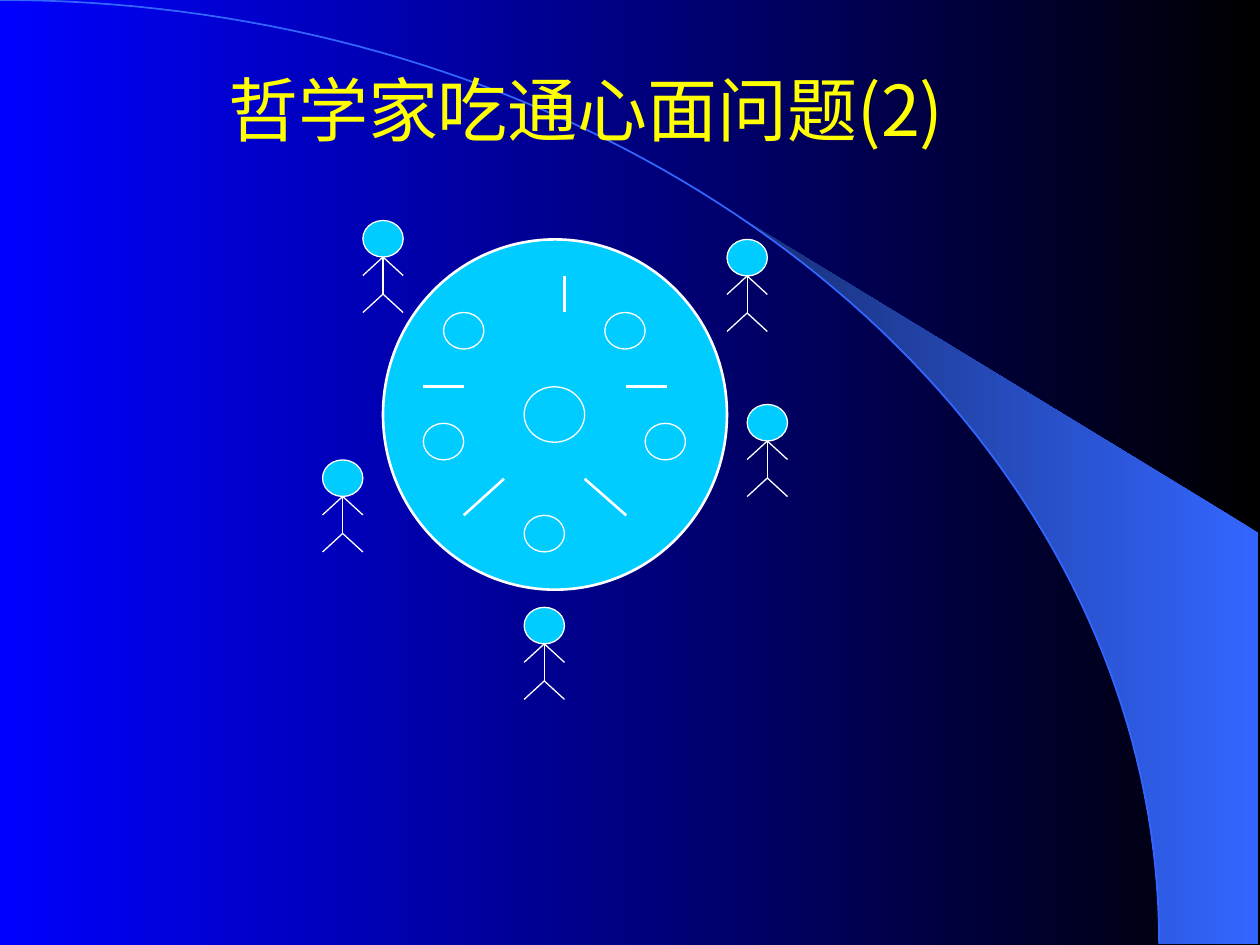
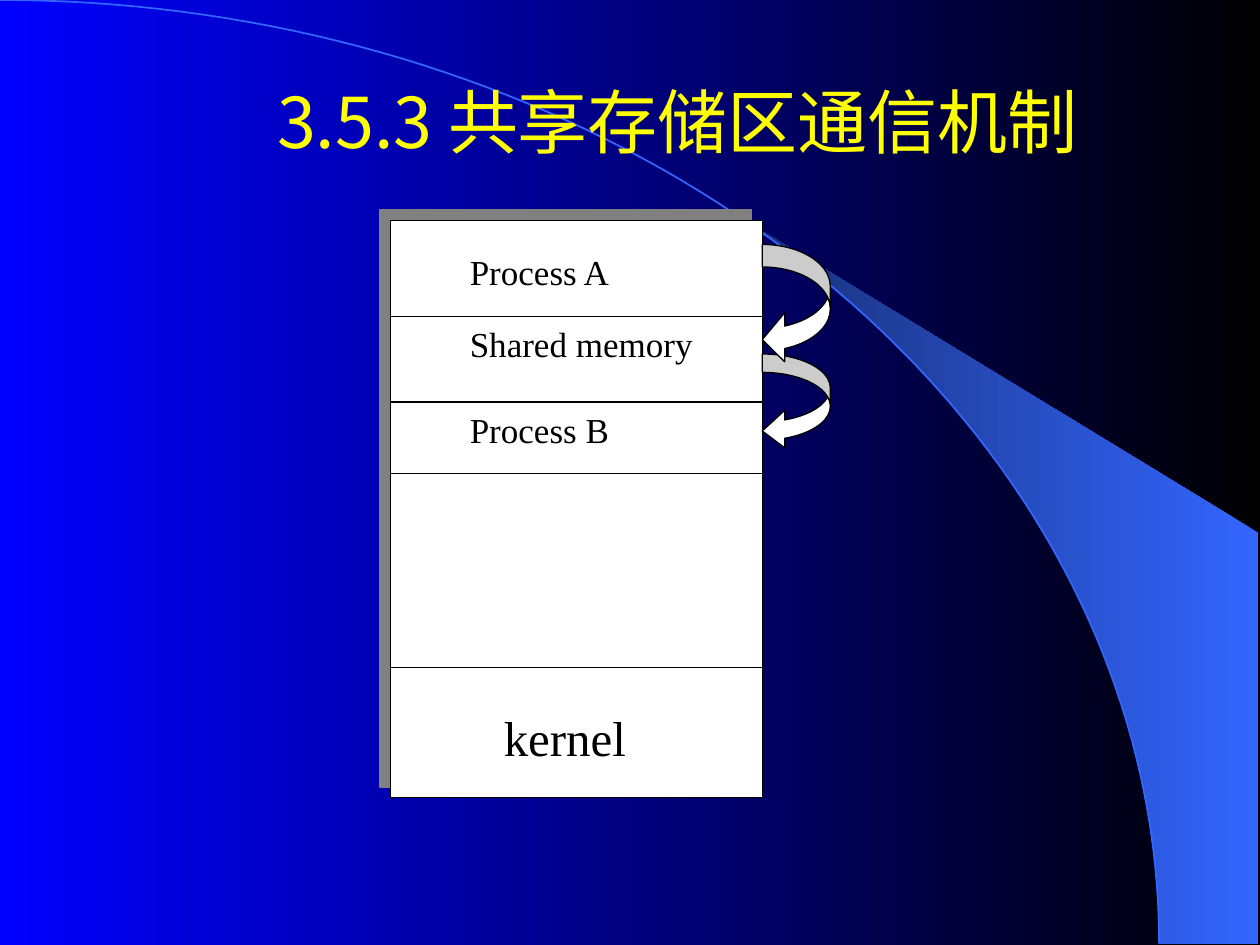
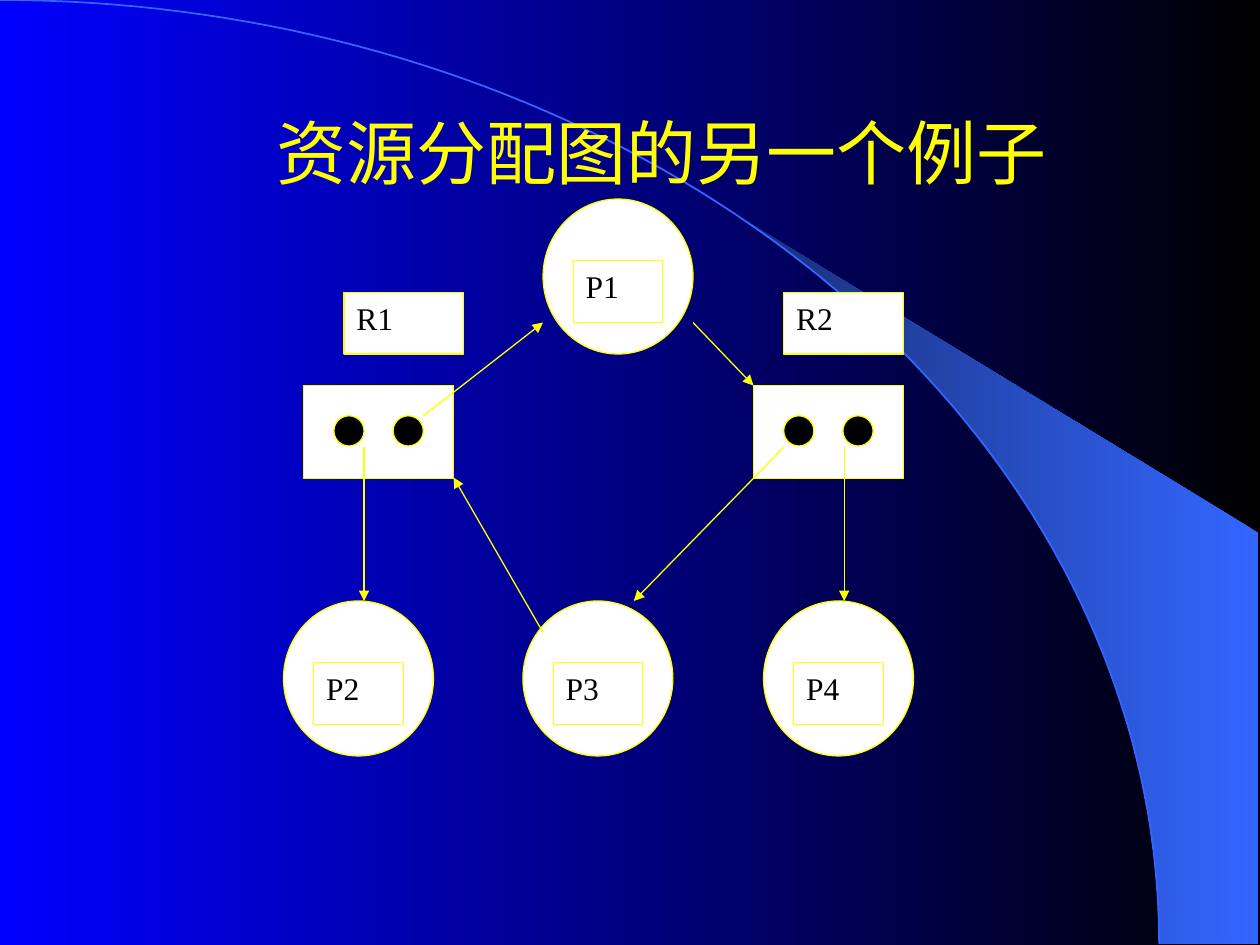
import math

import pptx
import pptx.dml.color
import pptx.enum.shapes
import pptx.enum.text
import pptx.oxml.ns
import pptx.oxml.xmlchemy
import pptx.util

Inches = pptx.util.Inches
Pt = pptx.util.Pt
RGBColor = pptx.dml.color.RGBColor
Shape = pptx.enum.shapes.MSO_SHAPE
Align = pptx.enum.text.PP_ALIGN
Anchor = pptx.enum.text.MSO_ANCHOR

BLACK = RGBColor(0x00, 0x00, 0x00)
WHITE = RGBColor(0xFF, 0xFF, 0xFF)
YELLOW = RGBColor(0xFF, 0xFF, 0x00)
BLUE = RGBColor(0x00, 0x00, 0xFF)
CYAN = RGBColor(0x00, 0xCC, 0xFF)
BAND_LIGHT = RGBColor(0x33, 0x66, 0xFF)
BAND_DARK = RGBColor(0x18, 0x2F, 0x76)
TITLE_FONT = "Noto Sans CJK SC"
BODY_FONT = "Times New Roman"
ARC_WIDTH, ARC_HEIGHT = 9.2, 7.49
BAND_START = 5.89


def make_element(tag, **attributes):
    element = pptx.oxml.xmlchemy.OxmlElement(tag)
    for name, value in attributes.items():
        element.set(name, value)
    return element


def paint_gradient(fill, first, last):
    fill.gradient()
    fill.gradient_angle = 180
    for stop, color in zip(fill.gradient_stops, (first, last)):
        stop.color.rgb = color


def paint_line(line, color, width):
    if color is None:
        line.fill.background()
    else:
        line.color.rgb = color
        line.width = Pt(width)


def write_text(shape, text, size=20, font=BODY_FONT, color=BLACK,
               align=Align.LEFT, anchor=Anchor.TOP, spacing=None):
    frame = shape.text_frame
    frame.word_wrap = True
    frame.auto_size = pptx.enum.text.MSO_AUTO_SIZE.NONE
    frame.vertical_anchor = anchor
    para = frame.paragraphs[0]
    para.alignment = align
    para.line_spacing = spacing
    span = para.add_run()
    span.text = text
    span.font.size = Pt(size)
    span.font.color.rgb = color
    span.font.name = font
    span.font._element.append(make_element("a:ea", typeface=font))


def draw_shape(page, kind, left, top, width, height, fill=WHITE, line=None, weight=0.75):
    shape = page.shapes.add_shape(
        kind, Inches(left), Inches(top), Inches(width), Inches(height))
    shape.shadow.inherit = False
    shape.fill.solid()
    shape.fill.fore_color.rgb = fill
    paint_line(shape.line, line, weight)
    return shape


def draw_line(page, start, end, color, weight=0.75, arrow=False):
    points = [Inches(value) for value in (*start, *end)]
    connector = page.shapes.add_connector(
        pptx.enum.shapes.MSO_CONNECTOR.STRAIGHT, *points)
    paint_line(connector.line, color, weight)
    if arrow:
        connector.line._get_or_add_ln().append(make_element("a:tailEnd", type="triangle"))
    connector._element.spPr.append(make_element("a:effectLst"))


def draw_outline(page, points, close):
    points = [(Inches(x), Inches(y)) for x, y in points]
    builder = page.shapes.build_freeform(*points[0])
    builder.add_line_segments(points[1:], close=close)
    outline = builder.convert_to_shape()
    outline.shadow.inherit = False
    return outline


def arc_points(first_x, steps):
    first = math.asin(first_x / ARC_WIDTH)
    angles = [first + (math.pi / 2 - first) * step / steps for step in range(steps + 1)]
    return [(ARC_WIDTH * math.sin(angle), ARC_HEIGHT * (1 - math.cos(angle)))
            for angle in angles]


def draw_band(page):
    band = draw_outline(
        page, arc_points(BAND_START, 20) + [(9.99, ARC_HEIGHT), (9.99, 4.23)], True)
    paint_gradient(band.fill, BAND_LIGHT, BAND_DARK)
    paint_line(band.line, None, 0)
    arc = draw_outline(page, arc_points(0, 80), False)
    arc.fill.background()
    paint_line(arc.line, BAND_LIGHT, 1)


def add_page(deck, text, left, top, width, height, spacing=None, right_inset=0.1):
    page = deck.slides.add_slide(deck.slide_layouts[5])
    draw_band(page)
    title = page.shapes.title
    title.left, title.top = Inches(left), Inches(top)
    title.width, title.height = Inches(width), Inches(height)
    title.text_frame.margin_right = Inches(right_inset)
    write_text(title, text, size=40, font=TITLE_FONT, color=YELLOW,
               align=Align.CENTER, anchor=Anchor.MIDDLE, spacing=spacing)
    title._element.getparent().append(title._element)
    return page


def draw_philosopher(page, left, top):
    draw_shape(page, Shape.OVAL, left, top, 0.32, 0.29, CYAN, WHITE)
    middle, right = left + 0.16, left + 0.32
    neck, chest, hip, feet = [top + 0.29 + 0.147 * step for step in range(4)]
    draw_line(page, (middle, neck), (middle, chest), WHITE)
    draw_line(page, (middle, chest), (middle, hip), WHITE)
    for joint, tip in ((hip, feet), (neck, chest)):
        for side in (left, right):
            draw_line(page, (middle, joint), (side, tip), WHITE)


def draw_dining_table(page, left, top):
    draw_shape(page, Shape.OVAL, left, top, 2.73, 2.78, CYAN, WHITE, 1.5)
    for x, y in ((0.48, 0.58), (1.76, 0.58), (2.08, 1.46), (1.12, 2.19), (0.32, 1.46)):
        draw_shape(page, Shape.OVAL, left + x, top + y, 0.32, 0.29, CYAN, WHITE)
    forks = (
        ((1.44, 0.29), (1.44, 0.58)),
        ((0.32, 1.17), (0.64, 1.17)),
        ((0.64, 2.19), (0.96, 1.9)),
        ((1.6, 1.9), (1.93, 2.19)),
        ((1.93, 1.17), (2.25, 1.17)),
    )
    for start, end in forks:
        draw_line(page, (left + start[0], top + start[1]),
                  (left + end[0], top + end[1]), WHITE, 1.5)
    draw_shape(page, Shape.OVAL, left + 1.12, top + 1.17, 0.48, 0.44, CYAN, WHITE)


def build_philosophers(deck):
    page = add_page(deck, "哲学家吃通心面问题(2)", 0.75, 0.67, 8.5, 0.58,
                    spacing=0.6, right_inset=0.8)
    draw_dining_table(page, 3.04, 1.9)
    for left, top in ((5.77, 1.9), (5.93, 3.21), (4.16, 4.82), (2.88, 1.75), (2.56, 3.65)):
        draw_philosopher(page, left, top)


def draw_memory(page, left, top, width, height):
    memory = draw_shape(page, Shape.RECTANGLE, left, top, width, height, WHITE, BLACK)
    shadow = make_element("a:outerShdw", dist=str(Pt(8.5)), dir="13500000")
    shadow.append(make_element("a:srgbClr", val="808080"))
    memory._element.spPr.find(pptx.oxml.ns.qn("a:effectLst")).append(shadow)
    labels = (
        ("Process A", 0.53, 0.19, 1.61, 20),
        ("Process B", 0.53, 1.44, 1.61, 20),
        ("Shared memory", 0.53, 0.76, 2.15, 20),
        ("kernel", 0.8, 3.82, 1.34, 28),
    )
    for text, x, y, label_width, size in labels:
        label = draw_shape(page, Shape.RECTANGLE, left + x, top + y, label_width, 0.57)
        write_text(label, text, size=size, align=Align.JUSTIFY)
    for y in (0.76, 1.44, 2.01, 3.55):
        draw_line(page, (left, top + y), (left + width, top + y), BLACK)
    arrows = ((1.06, 0.76, (0.27, 0.55, 0.33)), (0.19, 0.95, (0.33, 0.72, 0.33)))
    for y, arrow_height, adjustments in arrows:
        arrow = draw_shape(page, Shape.CURVED_LEFT_ARROW, left + width, top + y,
                           0.54, arrow_height, WHITE, BLACK)
        for index, value in enumerate(adjustments):
            arrow.adjustments[index] = value


def build_shared_memory(deck):
    page = add_page(deck, "3.5.3 共享存储区通信机制", 0.75, 0.33, 9.25, 1.25)
    draw_memory(page, 3.1, 1.75, 2.95, 4.58)


def draw_label(page, text, left, top, width):
    label = draw_shape(page, Shape.RECTANGLE, left, top, width, 0.49, WHITE, YELLOW)
    write_text(label, text, size=18)


def draw_process(page, name, left, top):
    draw_shape(page, Shape.OVAL, left, top, 1.19, 1.23, WHITE, YELLOW)
    draw_label(page, name, left + 0.24, top + 0.49, 0.71)


def draw_resource(page, name, left, top, label_left):
    draw_label(page, name, label_left, top - 0.74, 0.95)
    draw_shape(page, Shape.RECTANGLE, left, top, 1.19, 0.74, WHITE, YELLOW)
    for x in (0.24, 0.71):
        draw_shape(page, Shape.OVAL, left + x, top + 0.24, 0.24, 0.24, BLACK, YELLOW)


def build_allocation_graph(deck):
    page = add_page(deck, "资源分配图的另一个例子", 1, 0.58, 8.5, 1.25)
    for name, left, top in (("P2", 2.25, 4.77), ("P3", 4.15, 4.77),
                            ("P4", 6.06, 4.77), ("P1", 4.31, 1.58)):
        draw_process(page, name, left, top)
    draw_resource(page, "R1", 2.41, 3.06, 2.73)
    draw_resource(page, "R2", 5.98, 3.06, 6.22)
    edges = (
        ((3.36, 3.3), (4.31, 2.56)),
        ((5.5, 2.56), (5.98, 3.06)),
        ((6.7, 3.55), (6.7, 4.77)),
        ((6.22, 3.55), (5.03, 4.77)),
        ((4.31, 5.02), (3.6, 3.79)),
        ((2.89, 3.55), (2.89, 4.77)),
    )
    for start, end in edges:
        draw_line(page, start, end, YELLOW, arrow=True)


def main():
    deck = pptx.Presentation()
    deck.slide_width, deck.slide_height = Inches(10), Inches(7.5)
    paint_gradient(deck.slide_master.background.fill, BLACK, BLUE)
    build_philosophers(deck)
    build_shared_memory(deck)
    build_allocation_graph(deck)
    deck.save("out.pptx")


if __name__ == "__main__":
    main()
